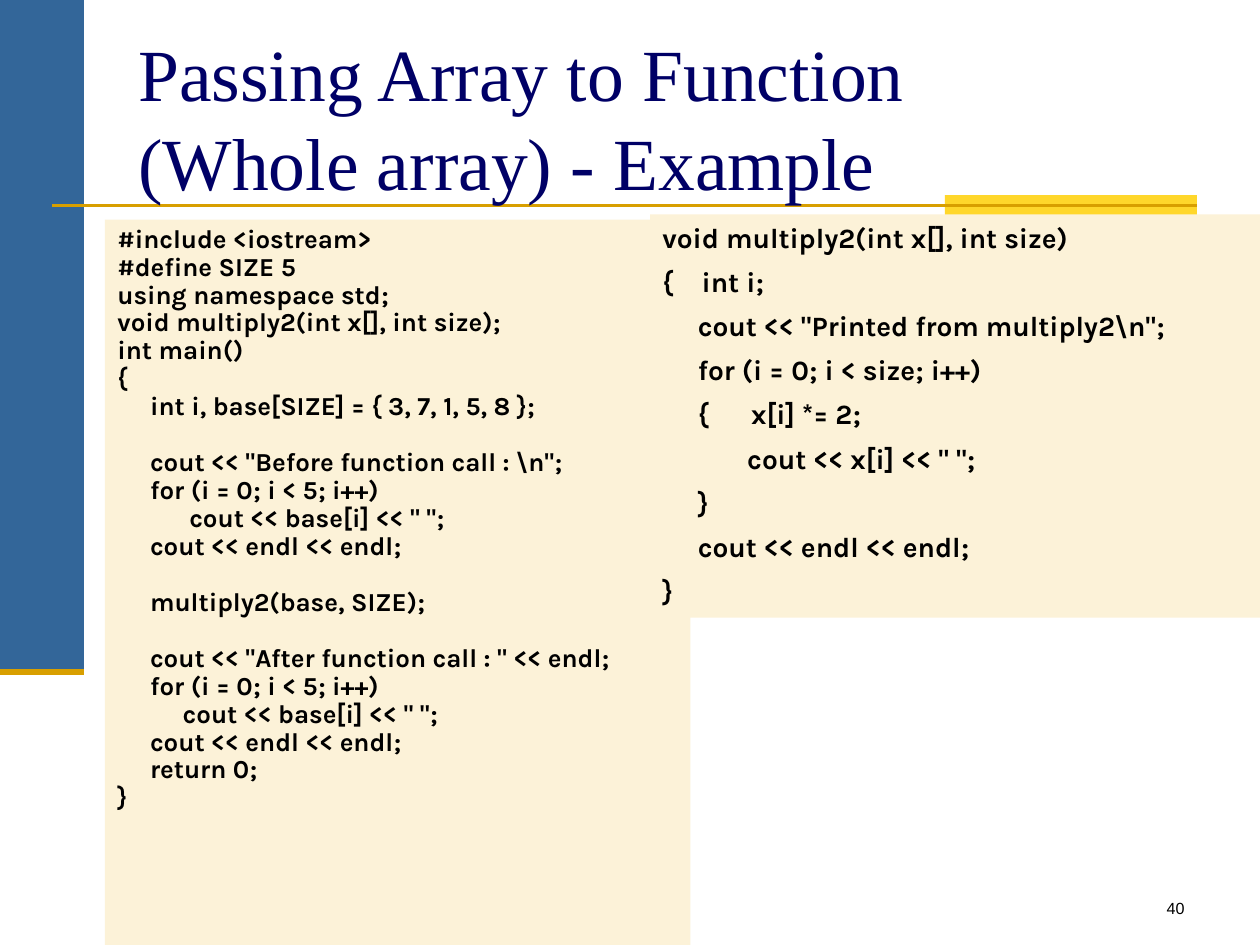
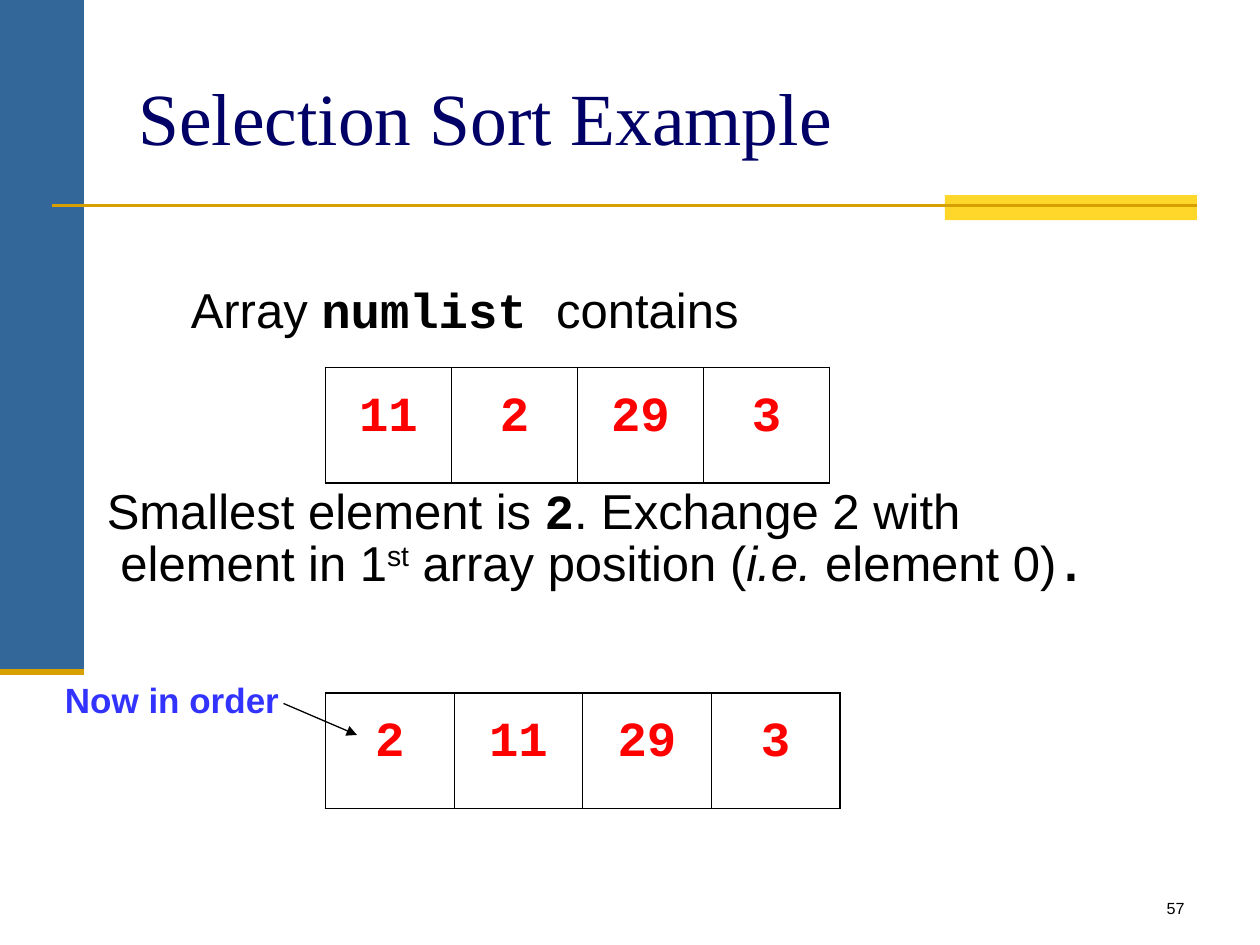
from dataclasses import dataclass

from lxml import etree
from pptx import Presentation
from pptx.dml.color import RGBColor
from pptx.enum.shapes import MSO_CONNECTOR, MSO_SHAPE
from pptx.enum.text import MSO_ANCHOR, PP_ALIGN
from pptx.oxml.ns import qn
from pptx.util import Pt

RECTANGLE = MSO_SHAPE.RECTANGLE
STRAIGHT = MSO_CONNECTOR.STRAIGHT
TOP, MIDDLE = MSO_ANCHOR.TOP, MSO_ANCHOR.MIDDLE
LEFT, CENTER, RIGHT = PP_ALIGN.LEFT, PP_ALIGN.CENTER, PP_ALIGN.RIGHT


@dataclass(frozen=True)
class Theme:
    """Colours, typefaces and type sizes shared by the slides."""

    band: str = "336699"
    tab: str = "FFD72B"
    rule: str = "D89F00"
    panel: str = "FCF2D8"
    heading: str = "000066"
    ink: str = "000000"
    value: str = "FF0000"
    note: str = "3333FF"
    serif: str = "Times New Roman"
    sans: str = "Arial"
    mono: str = "Courier New"
    code: str = "Karla"
    title_size: float = 42
    body_size: float = 28
    note_size: float = 20
    main_code_size: float = 14.8
    function_code_size: float = 16
    number_size: float = 9.2


THEME = Theme()

TITLE_BOX = (72, 21.6, 612, 90)
NUMBER_BOX = (534, 510, 150, 18)
MAIN_BOX = (60, 125.5, 334.5, 414.5)
FUNCTION_BOX = (371.5, 122.5, 348.5, 230.5)
SORT_BOX = (54, 156, 642, 324)

MAIN_CODE = r'''#include <iostream>
#define SIZE 5
using namespace std;
void multiply2(int x[], int size);
int main()
{
     int i, base[SIZE] = { 3, 7, 1, 5, 8 };

     cout << "Before function call : \n";
     for (i = 0; i < 5; i++)
           cout << base[i] << " ";
     cout << endl << endl;

     multiply2(base, SIZE);

     cout << "After function call : " << endl;
     for (i = 0; i < 5; i++)
          cout << base[i] << " ";
     cout << endl << endl;
     return 0;
}'''

FUNCTION_CODE = r'''void multiply2(int x[], int size)
{    int i;
     cout << "Printed from multiply2\n";
     for (i = 0; i < size; i++)
     {      x[i] *= 2;
            cout << x[i] << " ";
     }
     cout << endl << endl;
}'''


def rgb(color):
    """Turn a hex colour into an RGBColor."""
    return RGBColor.from_string(color)


def write(paragraph, text, *, size, font=THEME.sans, color=THEME.ink, bold=False,
          italic=False, raised=False, align=LEFT, before=0, spacing=1.0, indent=0):
    """Add text to a paragraph with the given format."""
    paragraph.alignment = align
    paragraph.line_spacing = spacing
    if before:
        paragraph.space_before = Pt(before)
    if indent:
        paragraph._p.get_or_add_pPr().set("marL", str(Pt(indent)))
    for number, line in enumerate(text.split("\n")):
        if number:
            paragraph.add_line_break()
        run = paragraph.add_run()
        run.text = line
        run.font.size, run.font.name = Pt(size), font
        run.font.bold, run.font.italic = bold, italic
        run.font.color.rgb = rgb(color)
        if raised:
            run._r.get_or_add_rPr().set("baseline", "30000")


def add_text_box(slide, box, anchor=TOP):
    """Add a wrapping text box and return its frame."""
    frame = slide.shapes.add_textbox(*map(Pt, box)).text_frame
    frame.word_wrap = True
    frame.vertical_anchor = anchor
    return frame


def add_block(slide, box, color):
    """Add a plain filled rectangle."""
    block = slide.shapes.add_shape(RECTANGLE, *map(Pt, box))
    block.shadow.inherit = False
    block.fill.solid()
    block.fill.fore_color.rgb = rgb(color)
    block.line.fill.background()
    return block


def add_line(slide, start, end, color, width, arrow=False):
    """Add a straight line, with an arrowhead at its end on request."""
    line = slide.shapes.add_connector(STRAIGHT, *map(Pt, start + end))
    line.line.color.rgb = rgb(color)
    line.line.width = Pt(width)
    if arrow:
        etree.SubElement(line.line._get_or_add_ln(), qn("a:tailEnd"), type="triangle")
    etree.SubElement(line._element.spPr, qn("a:effectLst"))


def add_backdrop(slide):
    """Draw the side band, the title rule and its tab."""
    add_block(slide, (0, 0, 48, 384), THEME.band)
    add_block(slide, (540, 111.5, 144, 14.4), THEME.tab)
    add_line(slide, (30, 117.5), (684, 117.5), THEME.rule, 1.5)
    add_line(slide, (0, 384), (48, 384), THEME.rule, 3.5)


def add_heading(slide, title, number):
    """Write the slide title and the slide number."""
    write(add_text_box(slide, TITLE_BOX, MIDDLE).paragraphs[0], title,
          size=THEME.title_size, font=THEME.serif, color=THEME.heading)
    write(add_text_box(slide, NUMBER_BOX).paragraphs[0], str(number),
          size=THEME.number_size, align=RIGHT)


def add_code_panel(slide, box, code, size, spacing=1.0, before=0, gap=0):
    """Show code in a tinted panel, with a gap in place of each empty line."""
    frame = add_block(slide, box, THEME.panel).text_frame
    frame.word_wrap = True
    frame.vertical_anchor = TOP
    paragraph = frame.paragraphs[0]
    for group_number, group in enumerate(code.split("\n\n")):
        for line_number, line in enumerate(group.split("\n")):
            first = group_number == line_number == 0
            if not first:
                paragraph = frame.add_paragraph()
            starts_group = group_number > 0 and line_number == 0
            write(paragraph, line, size=size, font=THEME.code, bold=True, spacing=spacing,
                  before=0 if first else gap if starts_group else before)


def set_border(cell, side, width):
    """Give one side of a table cell a solid line."""
    border = etree.SubElement(cell._tc.get_or_add_tcPr(), qn(f"a:ln{side}"), w=str(Pt(width)))
    fill = etree.SubElement(border, qn("a:solidFill"))
    etree.SubElement(fill, qn("a:srgbClr"), val=THEME.ink)


def add_array(slide, box, values):
    """Show array values as a one-row table."""
    array = slide.shapes.add_table(1, len(values), *map(Pt, box)).table
    array.first_row = array.horz_banding = False
    last = len(values) - 1
    for index, value in enumerate(values):
        array.columns[index].width = Pt(box[2] / len(values))
        cell = array.cell(0, index)
        widths = {"L": 0.45 if index else 1.08, "R": 0.45 if index < last else 1.08,
                  "T": 1.08, "B": 1.08}
        for side, width in widths.items():
            set_border(cell, side, width)
        cell.fill.background()
        write(cell.text_frame.paragraphs[0], str(value), size=THEME.body_size,
              font=THEME.mono, color=THEME.value, bold=True, align=CENTER, spacing=1.3)


def add_explanation(slide, box):
    """Write the sorting step around the first array."""
    frame = add_text_box(slide, box)
    mono = {"font": THEME.mono, "bold": True}
    lines = [
        ({"indent": 48}, [("Array ", {}), ("numlist ", mono), ("contains", {})]),
        ({"before": 81.2},
         [("Smallest element is ", {}), ("2", mono), (". Exchange 2 with", {})]),
        ({"spacing": 0.9, "indent": 7.8},
         [("element in 1", {}), ("st", {"raised": True}), (" array position (", {}),
          ("i.e.", {"italic": True}), (" element 0)", {}), (".", mono)]),
    ]
    for number, (layout, parts) in enumerate(lines):
        paragraph = frame.add_paragraph() if number else frame.paragraphs[0]
        for text, style in parts:
            write(paragraph, text, size=THEME.body_size, **layout, **style)


def add_sort_step(slide, box):
    """Place the explanation, both arrays and the note relative to the box."""
    left, top, _, _ = box
    add_explanation(slide, box)
    add_array(slide, (left + 132, top + 54, 288, 66), [11, 2, 29, 3])
    add_array(slide, (left + 132, top + 240, 294, 66), [2, 11, 29, 3])
    write(add_text_box(slide, (left - 24, top + 228, 150, 31)).paragraphs[0], "Now in order",
          size=THEME.note_size, color=THEME.note, bold=True)
    add_line(slide, (left + 108, top + 246), (left + 150, top + 264), THEME.ink, 0.75, arrow=True)


def build_code_slide(slide):
    """Build the slide that passes a whole array to a function."""
    add_backdrop(slide)
    add_code_panel(slide, MAIN_BOX, MAIN_CODE, THEME.main_code_size, spacing=0.9, gap=16)
    add_code_panel(slide, FUNCTION_BOX, FUNCTION_CODE, THEME.function_code_size, before=6)
    add_heading(slide, "Passing Array to Function\n(Whole array) - Example", 40)


def build_sort_slide(slide):
    """Build the slide that shows one selection sort step."""
    add_backdrop(slide)
    add_heading(slide, "Selection Sort Example", 57)
    add_sort_step(slide, SORT_BOX)


def main():
    """Build and save the presentation."""
    deck = Presentation()
    deck.slide_width, deck.slide_height = Pt(720), Pt(540)
    for build in (build_code_slide, build_sort_slide):
        build(deck.slides.add_slide(deck.slide_layouts[6]))
    deck.save("out.pptx")


if __name__ == "__main__":
    main()
